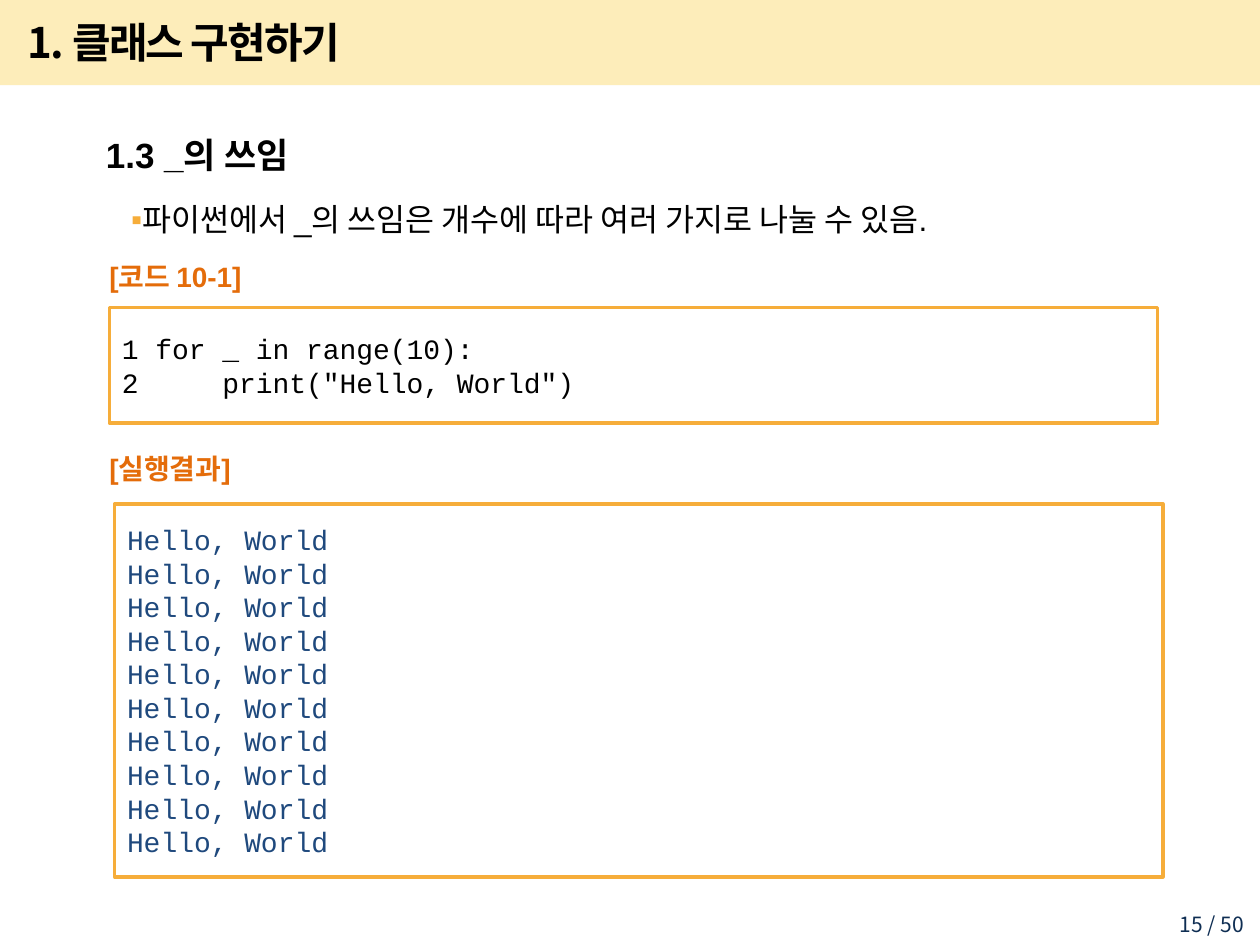
from lxml.etree import SubElement
from pptx import Presentation
from pptx.dml.color import RGBColor
from pptx.enum.shapes import MSO_SHAPE
from pptx.enum.text import MSO_ANCHOR, MSO_AUTO_SIZE, PP_ALIGN
from pptx.oxml.ns import qn
from pptx.util import Pt

BLACK = RGBColor(0x00, 0x00, 0x00)
YELLOW = RGBColor(0xFA, 0xBE, 0x00)
AMBER = RGBColor(0xF6, 0xAD, 0x3A)
ORANGE = RGBColor(0xE4, 0x6C, 0x0A)
BLUE = RGBColor(0x1F, 0x49, 0x7D)
NAVY = RGBColor(0x0F, 0x2E, 0x53)
KOREAN_FONT = "Noto Sans CJK KR"


def add_run(paragraph, text, size, font_name, color, bold=False):
    run = paragraph.add_run()
    run.text = text
    run.font.size = Pt(size)
    run.font.name = font_name
    run.font.bold = bold
    run.font.color.rgb = color
    SubElement(run.font._element, qn("a:ea"), typeface=KOREAN_FONT)
    return run


def place(shape, left, top, width, height):
    shape.left, shape.top = Pt(left), Pt(top)
    shape.width, shape.height = Pt(width), Pt(height)
    shape.text_frame.auto_size = MSO_AUTO_SIZE.NONE


presentation = Presentation()
presentation.slide_width = Pt(720)
presentation.slide_height = Pt(540)
slide = presentation.slides.add_slide(presentation.slide_layouts[1])
title, body = slide.placeholders

# Translucent header band, behind the title
band = slide.shapes.add_shape(MSO_SHAPE.RECTANGLE, 0, 0, Pt(720), Pt(48.6))
band.shadow.inherit = False
band.fill.solid()
band.fill.fore_color.rgb = YELLOW
band_color = band._element.spPr.find(qn("a:solidFill"))[0]
SubElement(band_color, qn("a:alpha"), val="27000")
band.line.fill.background()
title._element.addprevious(band._element)

# Page number
page_number = slide.shapes.add_textbox(0, 0, 0, 0)
place(page_number, 651.6, 519.8, 66.2, 16.6)
page_number.text_frame.word_wrap = True
page_number.text_frame.vertical_anchor = MSO_ANCHOR.MIDDLE
paragraph = page_number.text_frame.paragraphs[0]
paragraph.alignment = PP_ALIGN.RIGHT
add_run(paragraph, "15 / 50", 12, KOREAN_FONT, NAVY)

# Title
place(title, 8.6, 5, 612.7, 37.4)
title.text_frame.vertical_anchor = MSO_ANCHOR.MIDDLE
paragraph = title.text_frame.paragraphs[0]
paragraph.alignment = PP_ALIGN.LEFT
run = add_run(paragraph, "1. 클래스 구현하기", 24, KOREAN_FONT, BLACK, True)
run.font._element.set("spc", "-100")

# Section heading and bullet
place(body, 25.2, 60.5, 658.8, 465.1)
heading = body.text_frame.paragraphs[0]
bullet = body.text_frame.add_paragraph()
for paragraph, indent in ((heading, 0), (bullet, 14.4)):
    properties = paragraph._element.get_or_add_pPr()
    properties.set("marL", str(Pt(28.1)))
    properties.set("indent", str(Pt(indent)))
    paragraph.line_spacing = 1.5
SubElement(heading._element.pPr, qn("a:buNone"))
bullet_color = SubElement(bullet._element.pPr, qn("a:buClr"))
SubElement(bullet_color, qn("a:srgbClr"), val=str(AMBER))
SubElement(bullet._element.pPr, qn("a:buFont"), typeface="Arial")
SubElement(bullet._element.pPr, qn("a:buChar"), char="▪")
heading.space_before = Pt(0)
bullet.space_before = Pt(3.6)
add_run(heading, "1.3 _의 쓰임", 20, "Arial", BLACK, True)
add_run(bullet, "파이썬에서 _의 쓰임은 개수에 따라 여러 가지로 나눌 수 있음.", 18, "Arial", BLACK)

# Code and output boxes
code_lines = ["1 for _ in range(10):", '2     print("Hello, World")']
output_lines = ["Hello, World"] * 10
for left, top, height, lines, color in (
    (62.6, 175.7, 66.2, code_lines, BLACK),
    (65.5, 288, 213.1, output_lines, BLUE),
):
    box = slide.shapes.add_shape(MSO_SHAPE.RECTANGLE, 0, 0, 0, 0)
    place(box, left, top, 599, height)
    box.shadow.inherit = False
    box.fill.background()
    box.line.color.rgb = AMBER
    box.line.width = Pt(2)
    frame = box.text_frame
    frame.word_wrap = True
    frame.vertical_anchor = MSO_ANCHOR.MIDDLE
    for index, line in enumerate(lines):
        paragraph = frame.add_paragraph() if index else frame.paragraphs[0]
        paragraph.alignment = PP_ALIGN.LEFT
        add_run(paragraph, line, 16, "Courier New", color)

# Box labels
for top, height, text in ((139.7, 36, "[코드 10-1]"), (247.7, 39.6, "[실행결과]")):
    label = slide.shapes.add_textbox(0, 0, 0, 0)
    place(label, 55.4, top, 113, height)
    label.text_frame.word_wrap = False
    label.text_frame.vertical_anchor = MSO_ANCHOR.MIDDLE
    paragraph = label.text_frame.paragraphs[0]
    paragraph.alignment = PP_ALIGN.LEFT
    add_run(paragraph, text, 16, "Arial", ORANGE, True)

presentation.save("out.pptx")
